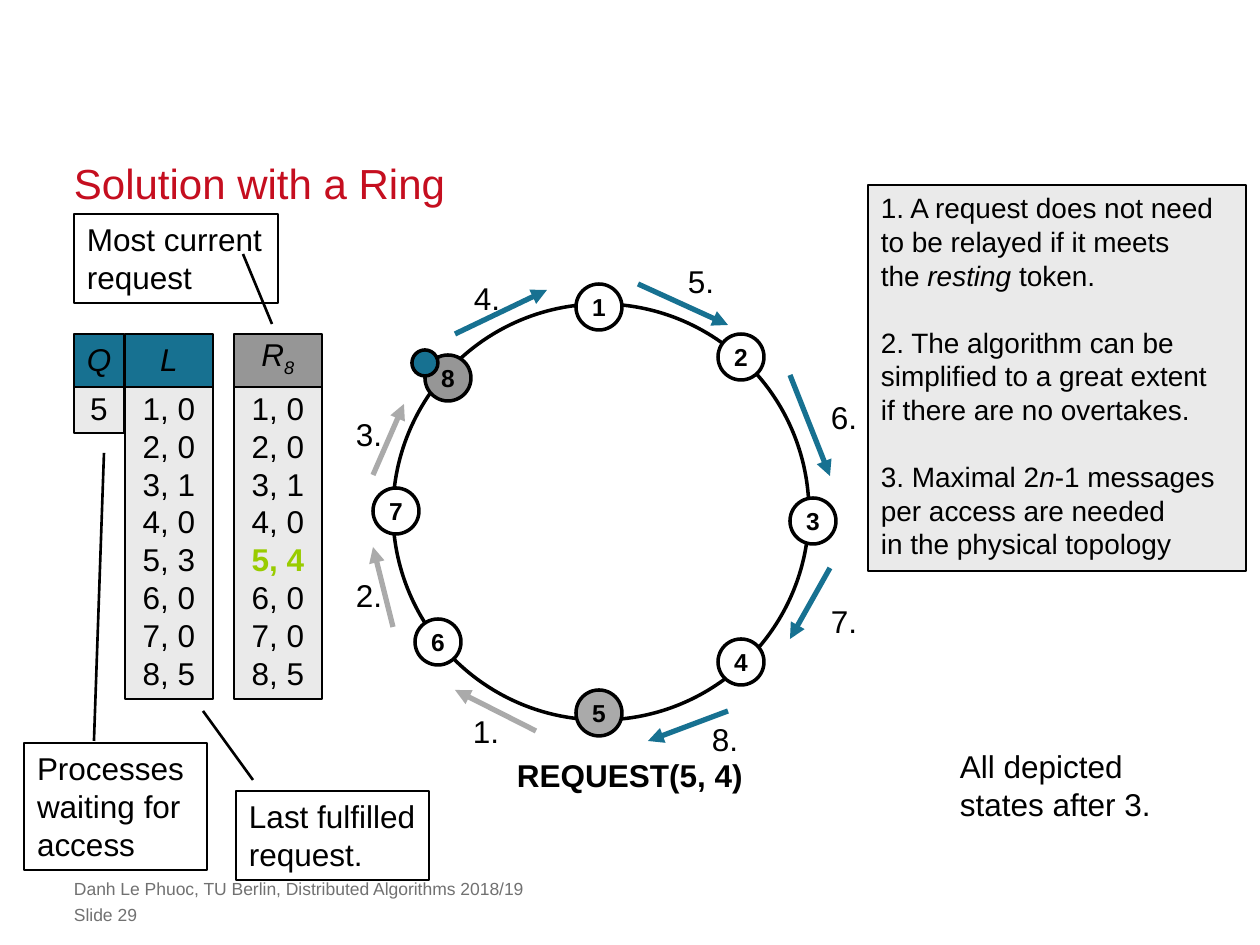
from lxml.etree import SubElement
from pptx import Presentation
from pptx.dml.color import RGBColor
from pptx.enum.shapes import MSO_CONNECTOR, MSO_SHAPE
from pptx.enum.text import MSO_ANCHOR, PP_ALIGN
from pptx.oxml.ns import qn
from pptx.util import Emu, Pt

PX = 914400 // 126
BLACK = RGBColor(0x00, 0x00, 0x00)
WHITE = RGBColor(0xFF, 0xFF, 0xFF)
RED = RGBColor(0xC5, 0x0E, 0x1F)
FOOTER_GRAY = RGBColor(0x71, 0x71, 0x71)
TEAL = RGBColor(0x17, 0x71, 0x91)
PALE_GRAY = RGBColor(0xEA, 0xEA, 0xEA)
LIGHT_GRAY = RGBColor(0xAA, 0xAA, 0xAA)
MID_GRAY = RGBColor(0x96, 0x96, 0x96)
GREEN = RGBColor(0x99, 0xCC, 0x00)

ITALIC = {"italic": True}
BOLD = {"bold": True}
BREAK = "\v"
INSET = 13
NODE_SIZE = 46

FULFILLED = ["1, 0", "2, 0", "3, 1", "4, 0", "5, 3", "6, 0", "7, 0", "8, 5"]
CURRENT = [[("5, 4", {"bold": True, "color": GREEN})] if entry == "5, 3" else entry
           for entry in FULFILLED]

# Left, top and fill of nodes 1 to 8
NODES = [
    (576, 284, WHITE), (718, 334, WHITE), (790, 498, WHITE), (718, 639, WHITE),
    (576, 690, LIGHT_GRAY), (415, 619, WHITE), (373, 488, WHITE), (425, 355, MID_GRAY),
]

# Start, end and colour of steps 1 to 8, and the place of the step number
STEPS = [
    ((536, 731), (455, 690), LIGHT_GRAY, (460, 706)),
    ((393, 627), (373, 547), LIGHT_GRAY, (343, 570)),
    ((373, 475), (404, 404), LIGHT_GRAY, (343, 409)),
    ((455, 334), (547, 290), TEAL, (461, 273)),
    ((638, 284), (728, 325), TEAL, (675, 256)),
    ((790, 375), (830, 476), TEAL, (818, 392)),
    ((830, 568), (790, 639), TEAL, (818, 596)),
    ((728, 711), (648, 741), TEAL, (699, 714)),
]

# Paragraphs of the three remarks
REMARKS = [
    [
        " A request does not need",
        "to be relayed if it meets",
        [("the ", {}), ("resting", ITALIC), (" token.", {})],
    ],
    [
        "2. The algorithm can be",
        "simplified to a great extent",
        "if there are no overtakes.",
    ],
    [
        [("3. Maximal 2", {}), ("n", ITALIC), ("-1 messages", {})],
        "per access are needed",
        "in the physical topology",
    ],
]


def px(*lengths):
    return [Emu(length * PX) for length in lengths]


def add_run(paragraph, text, size, color, style):
    run = paragraph.add_run()
    run.text = text
    values = {"name": "Arial", "size": Pt(size), **style}
    run.font.color.rgb = values.pop("color", color)
    baseline = values.pop("baseline", None)
    for key, value in values.items():
        setattr(run.font, key, value)
    if baseline:
        run._r.get_or_add_rPr().set("baseline", baseline)


def write(shape, paragraphs, size=18, color=BLACK, style=None, align=PP_ALIGN.LEFT,
          anchor=MSO_ANCHOR.TOP, inset=(INSET, 6), spacing=1.2):
    """Fill a shape; a paragraph is a string or a list of (text, style) runs."""
    frame = shape.text_frame
    side, top = px(*inset)
    frame_format = {
        "word_wrap": True, "vertical_anchor": anchor,
        "margin_left": side, "margin_top": top, "margin_bottom": top,
        "margin_right": side if align == PP_ALIGN.CENTER else 0,
    }
    for key, value in frame_format.items():
        setattr(frame, key, value)
    for index, content in enumerate(paragraphs):
        paragraph = frame.add_paragraph() if index else frame.paragraphs[0]
        paragraph.alignment = align
        paragraph.line_spacing = Pt(size * spacing)
        runs = [(content, {})] if isinstance(content, str) else content
        for text, run_style in runs:
            if text == BREAK:
                paragraph.add_line_break()
            else:
                add_run(paragraph, text, size, color, {**(style or {}), **run_style})


def add_label(slide, box, paragraphs, **text_format):
    label = slide.shapes.add_textbox(*px(*box))
    write(label, paragraphs, **text_format)


def add_outlined(slide, kind, box, fill=None, width=0.75):
    shape = slide.shapes.add_shape(kind, *px(*box))
    shape.shadow.inherit = False
    if fill is None:
        shape.fill.background()
    else:
        shape.fill.solid()
        shape.fill.fore_color.rgb = fill
    shape.line.color.rgb = BLACK
    shape.line.width = Pt(width)
    return shape


def add_box(slide, box, paragraphs, fill=None, width=0.75, **text_format):
    shape = add_outlined(slide, MSO_SHAPE.RECTANGLE, box, fill, width)
    write(shape, paragraphs, **text_format)
    return shape


def add_line(slide, start, end, color=BLACK, width=1.5, arrow=False):
    line = slide.shapes.add_connector(MSO_CONNECTOR.STRAIGHT, *px(*start, *end))
    line.line.color.rgb = color
    line.line.width = Pt(width)
    if arrow:
        SubElement(line.line._get_or_add_ln(), qn("a:tailEnd"), type="triangle")
    SubElement(line._element.spPr, qn("a:effectLst"))


def add_column(slide, left, width, header, header_fill, entries):
    """Stack a header cell on a cell that holds all entries."""
    height = 12 + 38 * len(entries)
    for top, cell_height, fill, content in (
            (383, height, PALE_GRAY, entries), (334, 53, header_fill, [header])):
        add_box(slide, (left, top, width, cell_height), content, fill, 1.5,
                align=PP_ALIGN.CENTER)


def add_ring(slide):
    add_outlined(slide, MSO_SHAPE.OVAL, (393, 304, 416, 416), width=2)
    for number, (left, top, fill) in enumerate(NODES, 1):
        node = add_outlined(slide, MSO_SHAPE.OVAL, (left, top, NODE_SIZE, NODE_SIZE), fill, 2)
        write(node, [str(number)], size=14, style=BOLD, align=PP_ALIGN.CENTER,
              anchor=MSO_ANCHOR.MIDDLE, inset=(0, 0))
    add_outlined(slide, MSO_SHAPE.OVAL, (412, 350, 26, 26), TEAL, 2)
    for number, (start, end, color, place) in enumerate(STEPS, 1):
        add_line(slide, start, end, color, 3, arrow=True)
        add_label(slide, (*place, 52, 50), [f"{number}."])
    add_label(slide, (504, 750, 251, 50), ["REQUEST(5, 4)"], style=BOLD)


def add_remarks(slide):
    size = 16
    box = add_box(slide, (868, 185, 378, 386), sum(REMARKS, []), PALE_GRAY, size=size)
    paragraphs = box.text_frame.paragraphs
    numbering = paragraphs[0]._p.get_or_add_pPr()
    numbering.set("marL", "0")
    numbering.set("indent", "0")
    SubElement(numbering, qn("a:buFont"), typeface="Arial")
    SubElement(numbering, qn("a:buAutoNum"), type="arabicPeriod")
    position = 0
    for remark in REMARKS[:-1]:
        position += len(remark)
        paragraphs[position].space_before = Pt(size * 1.2)


def main():
    presentation = Presentation()
    presentation.slide_width, presentation.slide_height = px(1260, 945)
    slide = presentation.slides.add_slide(presentation.slide_layouts[6])

    add_label(slide, (74, 155, 1111, 53), ["Solution with a Ring"], size=24, color=RED,
              anchor=MSO_ANCHOR.BOTTOM, inset=(0, 0), spacing=1.25)
    for top, footer in ((878, "Danh Le Phuoc, TU Berlin, Distributed Algorithms 2018/19"),
                        (904, "Slide 29")):
        add_label(slide, (74, top, 912, 21), [footer], size=10, color=FOOTER_GRAY, inset=(0, 0))

    add_column(slide, 125, 88, [("L", ITALIC)], TEAL, FULFILLED)
    add_column(slide, 74, 50, [("Q", ITALIC)], TEAL, ["5"])
    add_column(slide, 234, 88, [("R", ITALIC), ("8", {**ITALIC, "baseline": "-25000"})],
               MID_GRAY, CURRENT)

    add_box(slide, (24, 743, 183, 127), ["Processes", "waiting for", "access"])
    add_box(slide, (236, 791, 193, 89),
            [[("Last fulfilled", {}), (BREAK, {}), ("request.", {})]])
    add_box(slide, (74, 214, 204, 89), ["Most current", "request"])
    for start, end in (((104, 453), (94, 741)), ((253, 780), (203, 711)),
                       ((243, 254), (272, 324))):
        add_line(slide, start, end)

    add_ring(slide)
    add_label(slide, (947, 741, 218, 89),
              [[("All depicted", {}), (BREAK, {}), ("states after 3.", {})]])
    add_remarks(slide)
    presentation.save("out.pptx")


if __name__ == "__main__":
    main()
